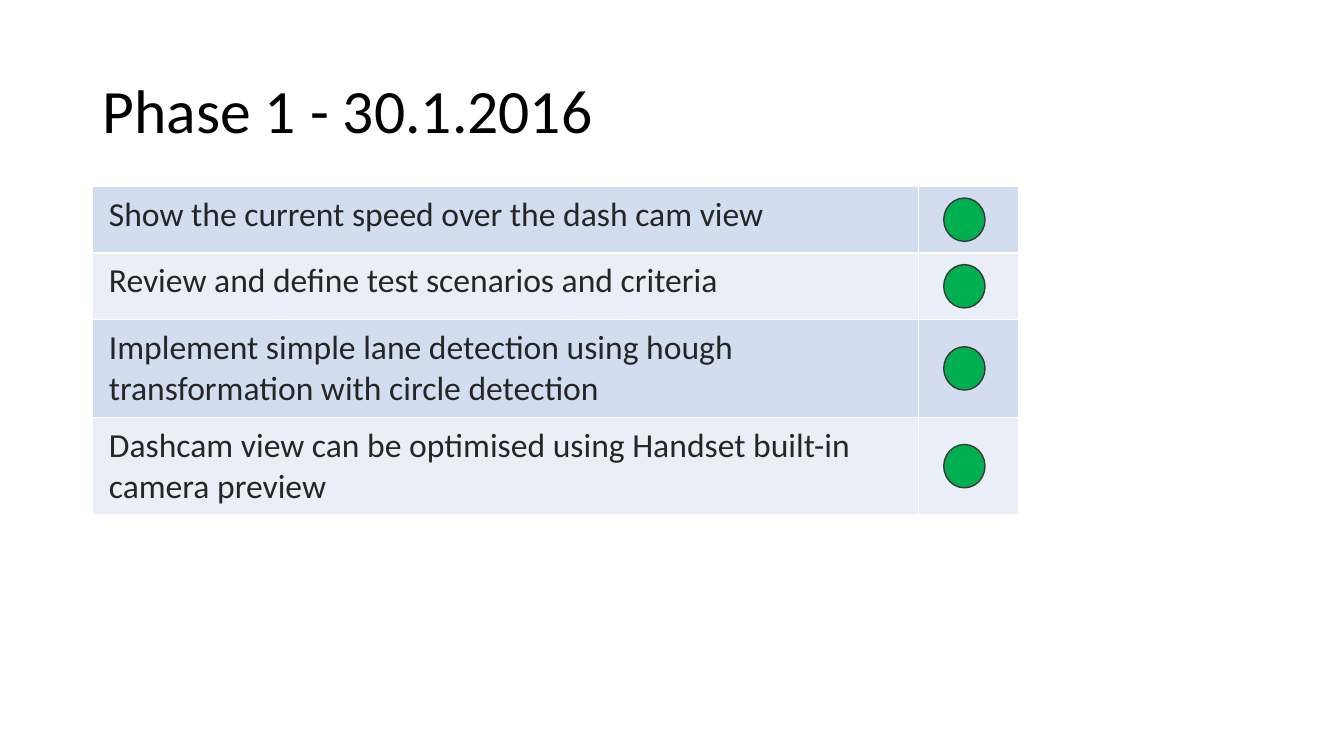
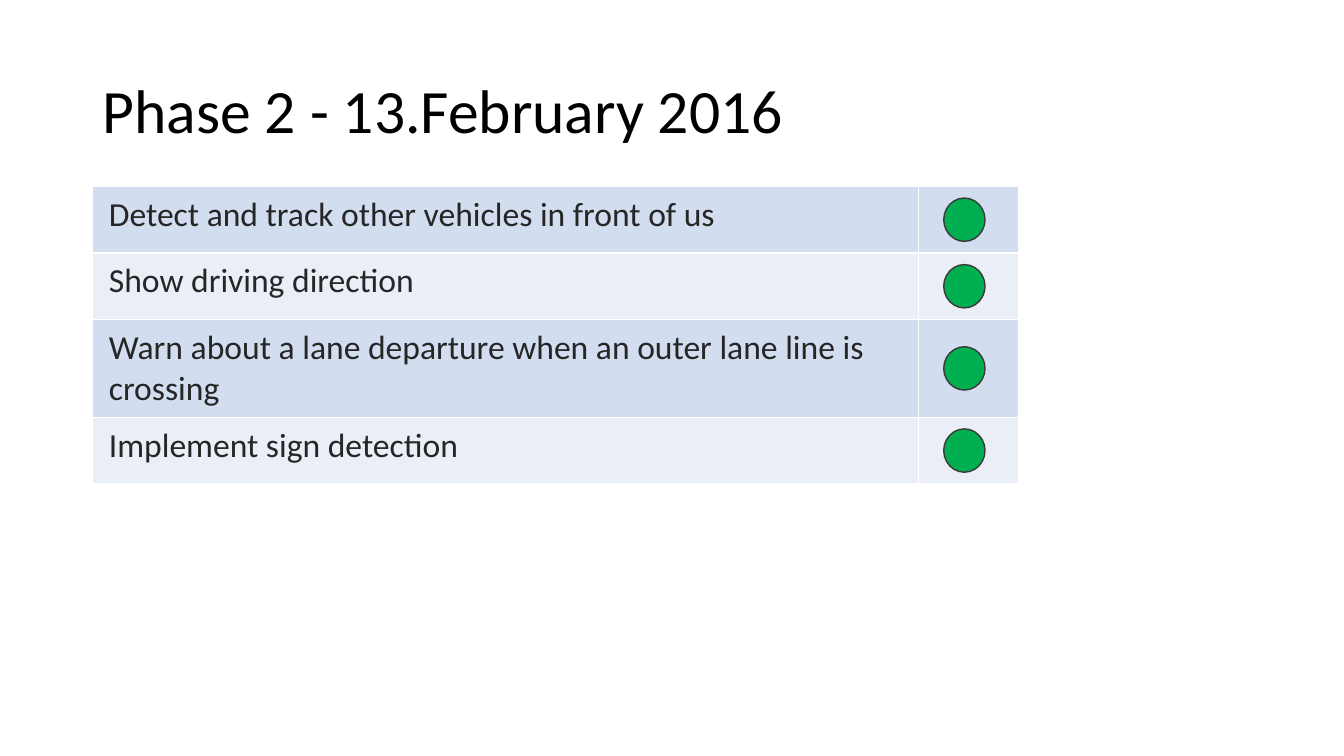
from pptx import Presentation
from pptx.dml.color import RGBColor
from pptx.enum import shapes, text
from pptx.oxml import parse_xml
from pptx.oxml.ns import nsdecls
from pptx.util import Inches, Pt

# Content: title, then each task with its count of lines
PHASES = [
    ("Phase 1 - 30.1.2016", [
        ("Show the current speed over the dash cam view", 1),
        ("Review and define test scenarios and criteria", 1),
        ("Implement simple lane detection using hough "
         "transformation with circle detection", 2),
        ("Dashcam view can be optimised using Handset built-in "
         "camera preview", 2),
    ]),
    ("Phase 2 - 13.February 2016", [
        ("Detect and track other vehicles in front of us", 1),
        ("Show driving direction", 1),
        ("Warn about a lane departure when an outer lane line is "
         "crossing", 2),
        ("Implement sign detection", 1),
    ]),
]

# Shared style
FONT = "Calibri"
BLACK, INK, WHITE = "000000", "262626", "FFFFFF"
BANDS = ["D2DEEF", "EAEFF7"]
GREEN, EDGE = "00B050", "3B3838"
LEFT, TOP = 0.92, 1.85
COLS = [8.19, 0.99]
HIGH = {1: 0.66, 2: 0.97}
DOT_X, DOT_W, DOT_H = 9.36, 0.41, 0.43


def color(code):
    return RGBColor.from_string(code)


def write(frame, words, size=24, ink=INK, space=None):
    frame.word_wrap = True
    para = frame.paragraphs[0]
    para.line_spacing = space
    run = para.add_run()
    run.text = words
    run.font.name, run.font.size = FONT, Pt(size)
    run.font.color.rgb = color(ink)


def add_title(slide, words):
    box = slide.shapes.add_textbox(
        Inches(LEFT), Inches(0.4), Inches(11.5), Inches(1.45))
    box.text_frame.vertical_anchor = text.MSO_ANCHOR.MIDDLE
    write(box.text_frame, words, size=44, ink=BLACK, space=0.9)


def style_cell(cell, band):
    # Borders go in ahead of the fill, as the schema orders them
    props = cell._tc.get_or_add_tcPr()
    for side in "LRTB":
        props.append(parse_xml(
            f'<a:ln{side} {nsdecls("a")} w="12700"><a:solidFill>'
            f'<a:srgbClr val="{WHITE}"/></a:solidFill></a:ln{side}>'))
    cell.fill.solid()
    cell.fill.fore_color.rgb = color(band)
    cell.margin_left = cell.margin_right = Inches(0.16)
    cell.margin_top = cell.margin_bottom = Inches(0.08)


def add_tasks(slide, tasks):
    highs = [HIGH[lines] for _, lines in tasks]
    table = slide.shapes.add_table(
        len(tasks), len(COLS), Inches(LEFT), Inches(TOP),
        Inches(sum(COLS)), Inches(sum(highs))).table
    table.first_row = table.horz_banding = False
    for col, wide in zip(table.columns, COLS):
        col.width = Inches(wide)
    for i, (words, _) in enumerate(tasks):
        table.rows[i].height = Inches(highs[i])
        for cell in table.rows[i].cells:
            style_cell(cell, BANDS[i % 2])
        write(table.cell(i, 0).text_frame, words)
    return highs


def add_dots(slide, highs):
    # One status dot, centred in the height of each row
    y = TOP
    for high in highs:
        dot = slide.shapes.add_shape(
            shapes.MSO_SHAPE.OVAL, Inches(DOT_X),
            Inches(y + (high - DOT_H) / 2), Inches(DOT_W), Inches(DOT_H))
        dot.shadow.inherit = False
        dot.fill.solid()
        dot.fill.fore_color.rgb = color(GREEN)
        dot.line.color.rgb = color(EDGE)
        dot.line.width = Pt(1)
        y += high


# Build
deck = Presentation()
deck.slide_width, deck.slide_height = Inches(13.33), Inches(7.5)
for title, tasks in PHASES:
    slide = deck.slides.add_slide(deck.slide_layouts[6])
    add_title(slide, title)
    add_dots(slide, add_tasks(slide, tasks))
deck.save("out.pptx")
